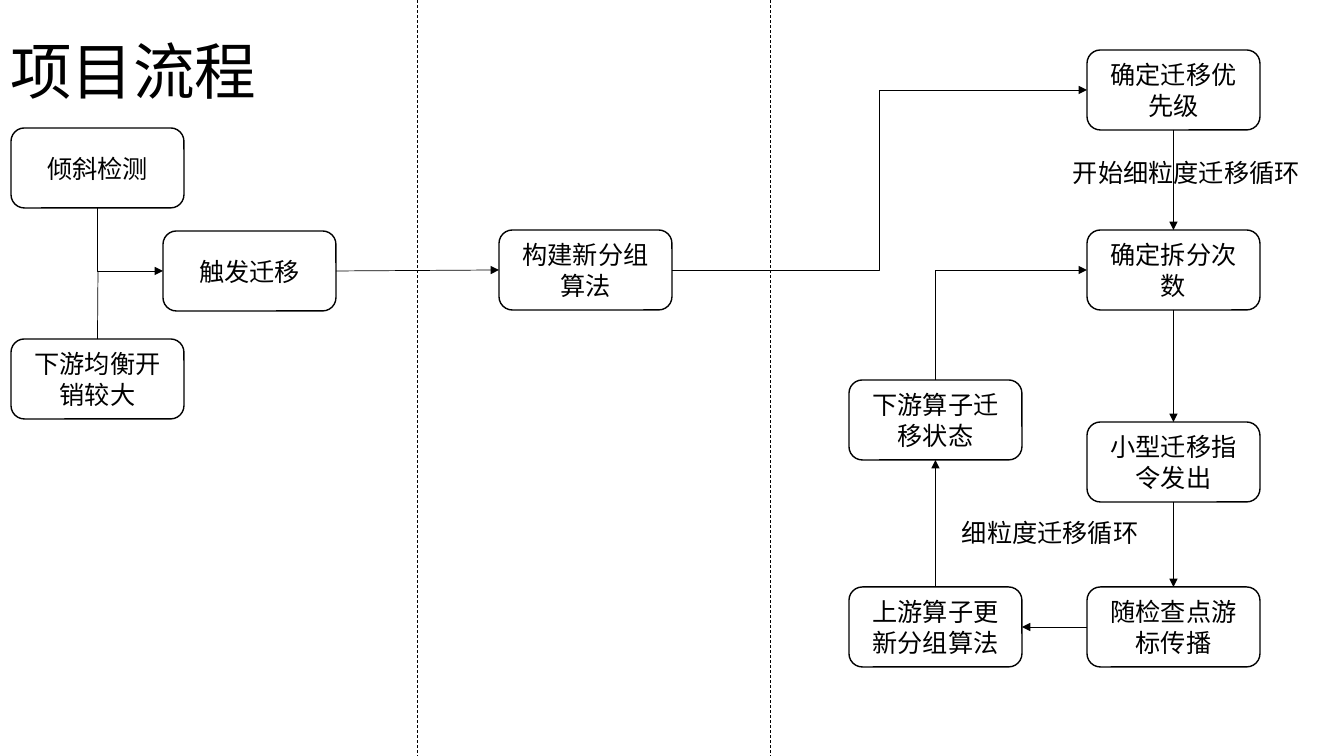
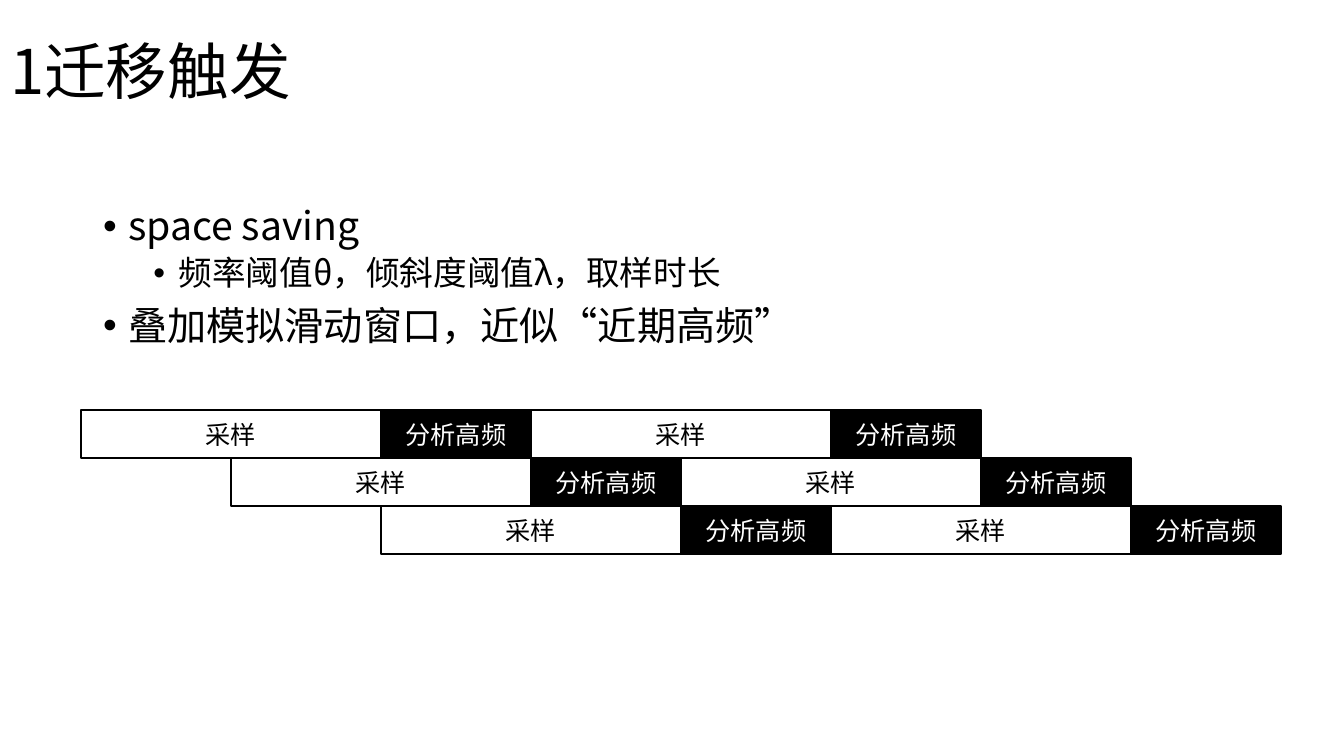
from lxml.etree import SubElement
from pptx import Presentation
from pptx.dml.color import RGBColor
from pptx.enum.dml import MSO_LINE
from pptx.enum.shapes import MSO_CONNECTOR, MSO_SHAPE
from pptx.enum.text import MSO_ANCHOR, MSO_AUTO_SIZE, PP_ALIGN
from pptx.oxml.ns import qn
from pptx.util import Pt

SCALE = 914400 / 100.8
FONT = "Noto Sans CJK SC"
BLACK, WHITE = "000000", "FFFFFF"
TOP, LEFT, BOTTOM, RIGHT = range(4)


def px(*sizes):
    """Turn pixels into EMU."""
    return [round(size * SCALE) for size in sizes]


def tint(color):
    """Turn a hex string into a colour."""
    return RGBColor.from_string(color)


class Deck:
    """Hold the shared style and the current slide."""

    def __init__(self):
        """Start an empty wide deck."""
        self.show = Presentation()
        self.show.slide_width, self.show.slide_height = px(1344, 756)

    def page(self, title, layout):
        """Add a slide with its title."""
        self.slide = self.show.slides.add_slide(self.show.slide_layouts[layout])
        self.shapes = self.slide.shapes
        head = self.shapes.title
        self.place(head, 0, 2, 1159, 146)
        head.text_frame.vertical_anchor = MSO_ANCHOR.MIDDLE
        self.letter(head, [title], 44, PP_ALIGN.LEFT)
        head.text_frame.paragraphs[0].line_spacing = 0.9

    def place(self, shape, *area):
        """Move and size a placeholder."""
        shape.left, shape.top, shape.width, shape.height = px(*area)
        shape.text_frame.auto_size = MSO_AUTO_SIZE.NONE

    def letter(self, shape, lines, size, align, color=BLACK):
        """Fill a shape with styled paragraphs."""
        shape.text_frame.text = "\n".join(lines)
        for para in shape.text_frame.paragraphs:
            para.alignment = align
            para.font.name = FONT
            para.font.size = Pt(size)
            para.font.color.rgb = tint(color)
        for latin in list(shape.element.iter(qn("a:latin"))):
            east = SubElement(latin.getparent(), qn("a:ea"), typeface=FONT)
            latin.addnext(east)

    def bullets(self, items, *area):
        """Fill the body with (level, text) bullets."""
        body = self.slide.placeholders[1]
        self.place(body, *area)
        self.letter(body, [text for _, text in items], 28, PP_ALIGN.LEFT)
        for para, (level, _) in zip(body.text_frame.paragraphs, items):
            para.level = level
            para.line_spacing = 0.9
            para.space_before = Pt(5 if level else 10)
            para.font.size = Pt(24 if level else 28)
        for props, (level, _) in zip(body.element.iter(qn("a:pPr")), items):
            props.set("marL", str(228600 + 457200 * level))
            props.set("indent", "-228600")
            style = props.find(qn("a:defRPr"))
            for tag, key, value in (("a:buFont", "typeface", "Arial"), ("a:buChar", "char", "•")):
                mark = SubElement(props, qn(tag))
                mark.set(key, value)
                style.addprevious(mark)

    def group(self):
        """Send the next shapes into a new group."""
        self.shapes = self.slide.shapes.add_group_shape().shapes

    def box(self, text, x, y, wide=173, high=80, kind=MSO_SHAPE.ROUNDED_RECTANGLE,
            fill=WHITE, color=BLACK):
        """Add an outlined box with centred text."""
        shape = self.shapes.add_shape(kind, *px(x, y, wide, high))
        shape.shadow.inherit = False
        shape.fill.solid()
        shape.fill.fore_color.rgb = tint(fill)
        shape.line.color.rgb = tint(BLACK)
        shape.line.width = Pt(1)
        shape.text_frame.word_wrap = True
        shape.text_frame.vertical_anchor = MSO_ANCHOR.MIDDLE
        self.letter(shape, [text], 18, PP_ALIGN.CENTER, color)
        return shape

    def label(self, text, x, y, wide, wrap=True):
        """Add a loose label."""
        shape = self.shapes.add_textbox(*px(x, y, wide, 40))
        shape.text_frame.word_wrap = wrap
        shape.text_frame.auto_size = MSO_AUTO_SIZE.SHAPE_TO_FIT_TEXT
        self.letter(shape, [text], 18, PP_ALIGN.LEFT)

    def line(self, *ends, kind=MSO_CONNECTOR.STRAIGHT, dash=None):
        """Add a thin line between two points."""
        line = self.shapes.add_connector(kind, *px(*ends))
        line.line.color.rgb = tint(BLACK)
        line.line.width = Pt(0.5)
        line.line.dash_style = dash
        SubElement(line.element.spPr, qn("a:effectLst"))
        return line

    def link(self, start, out, end, into, kind=MSO_CONNECTOR.STRAIGHT, tip="a:tailEnd"):
        """Glue an arrow to the sides of two boxes."""
        line = self.line(0, 0, 0, 0, kind=kind)
        line.begin_connect(start, out)
        line.end_connect(end, into)
        stroke = line.element.spPr.find(qn("a:ln"))
        SubElement(stroke, qn(tip), type="triangle")
        return line

    def corner(self, end, into, start, out):
        """Draw a one-bend arrow from its tip back to its start."""
        line = self.link(end, into, start, out, MSO_CONNECTOR.ELBOW, "a:headEnd")
        line.element.spPr.find(qn("a:prstGeom")).set("prst", "bentConnector2")


def flow(deck):
    """Build the project flow."""
    deck.page("项目流程", 5)
    skew = deck.box("倾斜检测", 11, 128)
    cost = deck.box("下游均衡开销较大", 11, 339)
    start = deck.box("触发迁移", 163, 231)
    regroup = deck.box("构建新分组算法", 499, 230)
    names = ("确定迁移优先级", "确定拆分次数", "小型迁移指令发出", "随检查点游标传播")
    steps = [deck.box(name, 1087, y) for name, y in zip(names, (50, 230, 422, 587))]
    first, split, _, spread = steps
    update = deck.box("上游算子更新分组算法", 849, 587)
    move = deck.box("下游算子迁移状态", 849, 380)

    for above, below in zip(steps, steps[1:]):
        deck.link(above, BOTTOM, below, TOP)
    deck.link(spread, LEFT, update, RIGHT)
    deck.link(update, TOP, move, BOTTOM)
    deck.corner(split, LEFT, move, TOP)
    deck.link(start, RIGHT, regroup, LEFT)
    deck.corner(start, LEFT, skew, BOTTOM)
    deck.line(98, 339, 98, 271).begin_connect(cost, TOP)
    deck.label("细粒度迁移循环", 952, 512, 206)
    deck.label("开始细粒度迁移循环", 1063, 152, 249, wrap=False)
    deck.link(regroup, RIGHT, first, LEFT, MSO_CONNECTOR.ELBOW)
    for x in (417, 770):
        deck.line(x, 0, x, 756, dash=MSO_LINE.DASH)


def trigger(deck):
    """Build the trigger slide with its sliding windows."""
    deck.page("1迁移触发", 1)
    items = [(0, "space saving"), (1, "频率阈值θ，倾斜度阈值λ，取样时长"),
             (0, "叠加模拟滑动窗口，近似“近期高频”")]
    deck.bullets(items, 93, 202, 1159, 480)
    deck.group()
    unit, high = 150, 48
    for row in range(3):
        for turn in range(2):
            x, y = 81 + unit * (row + 3 * turn), 410 + high * row
            deck.box("采样", x, y, 2 * unit, high, MSO_SHAPE.RECTANGLE)
            deck.box("分析高频", x + 2 * unit, y, unit, high, MSO_SHAPE.RECTANGLE, BLACK, WHITE)


deck = Deck()
flow(deck)
trigger(deck)
deck.show.save("out.pptx")
